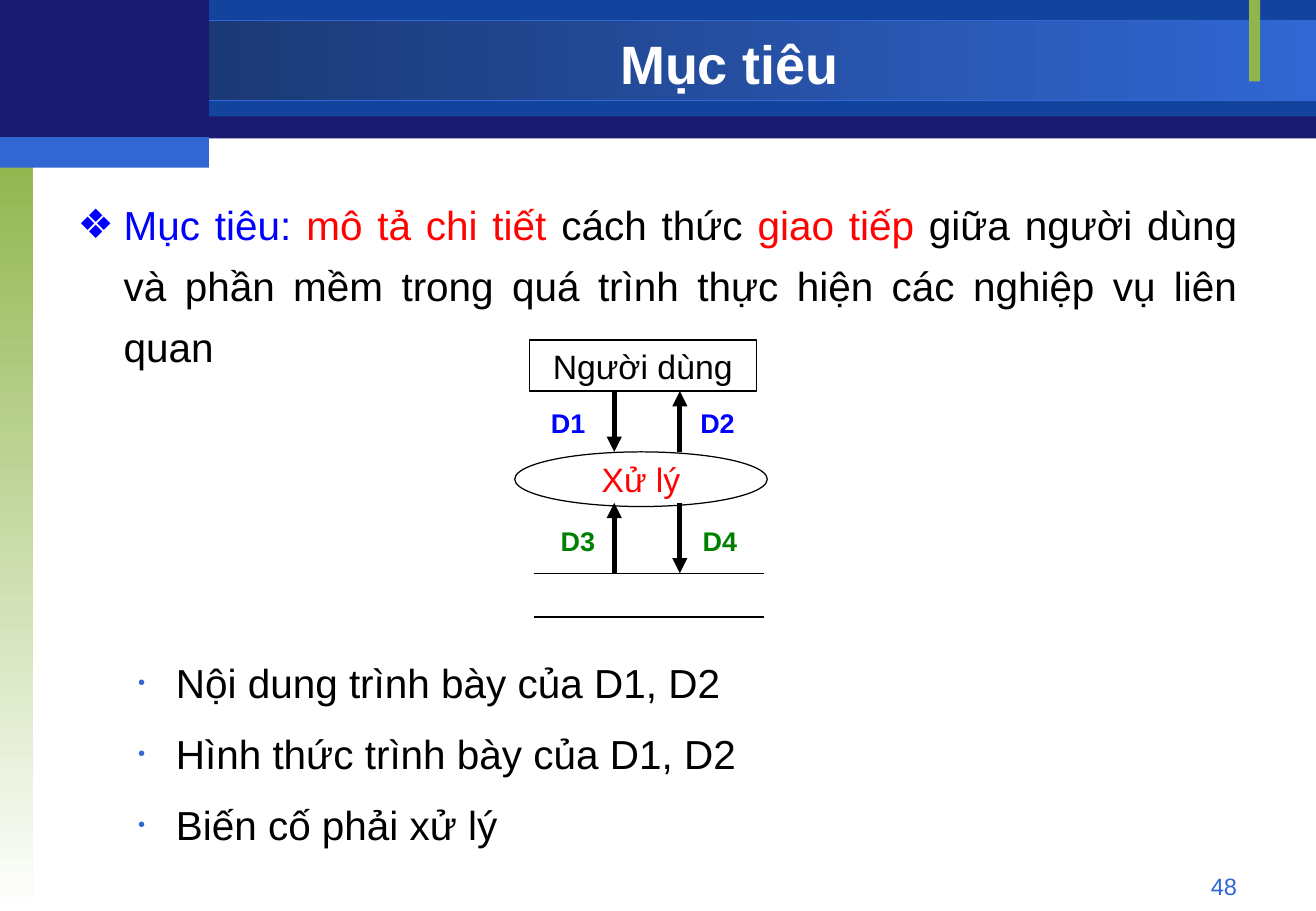
"""Build the slide on the goals of interface design, with its data-flow diagram."""
from dataclasses import dataclass
from typing import Any, Optional

from lxml import etree
from pptx import Presentation
from pptx import util as u
from pptx.dml.color import RGBColor
from pptx.enum import shapes, text
from pptx.oxml import ns

SCALE = 9144
FONT = "Arial"
COLORS = {
    "navy": "1A1A70", "band": "12449E", "deep": "173062", "sky": "3167D3",
    "olive": "90B54D", "white": "FFFFFF", "black": "000000",
    "blue": "0000FF", "red": "FF0303", "green": "008000",
}
RECT, OVAL = shapes.MSO_SHAPE.RECTANGLE, shapes.MSO_SHAPE.OVAL
LEFT, CENTER = text.PP_ALIGN.LEFT, text.PP_ALIGN.CENTER
RIGHT, JUSTIFY = text.PP_ALIGN.RIGHT, text.PP_ALIGN.JUSTIFY
TOP, MIDDLE = text.MSO_ANCHOR.TOP, text.MSO_ANCHOR.MIDDLE

Box = tuple[int, int, int, int]
Runs = list[tuple[str, str]]


@dataclass
class Bar:
    box: Box
    color: str
    fade_to: Optional[str] = None
    angle: int = 0
    outline: Optional[str] = None


@dataclass
class Node:
    box: Box
    kind: Any
    label: str
    color: str


@dataclass
class Label:
    box: Box
    label: str
    color: str


@dataclass
class Link:
    start: tuple[int, int]
    end: tuple[int, int]
    width: float = 0.75
    arrow: bool = False


@dataclass
class Bullet:
    char: str
    color: str
    size: int
    indent: int
    hang: int


BARS = [
    Bar((0, 1, 1084, 113), "navy"),
    Bar((172, 0, 912, 96), "band"),
    Bar((0, 17, 1084, 66), "deep", "sky", 0, "sky"),
    Bar((0, 125, 27, 625), "olive", "white", 270),
    Bar((1029, 0, 9, 67), "olive"),
    Bar((0, 0, 172, 117), "navy"),
    Bar((0, 113, 172, 25), "sky"),
]
NODES = [
    Node((436, 280, 187, 42), RECT, "Người dùng", "black"),
    Node((424, 372, 208, 45), OVAL, "Xử lý", "red"),
]
LABELS = [
    Label((444, 330, 48, 37), "D1", "blue"),
    Label((567, 330, 48, 37), "D2", "blue"),
    Label((452, 427, 48, 37), "D3", "green"),
    Label((569, 427, 48, 37), "D4", "green"),
]
LINKS = [
    Link((440, 472), (629, 472)),
    Link((440, 508), (629, 508)),
    Link((506, 322), (506, 372), 3, True),
    Link((560, 372), (560, 322), 3, True),
    Link((506, 472), (506, 414), 3, True),
    Link((560, 414), (560, 472), 3, True),
]
GOAL: Runs = [
    ("Mục tiêu: ", "blue"),
    ("mô tả chi tiết", "red"),
    (" cách thức ", "black"),
    ("giao tiếp", "red"),
    (" giữa người dùng và phần mềm trong quá trình thực hiện "
     "các nghiệp vụ liên quan", "black"),
]
TOPICS = [
    "Nội dung trình bày của D1, D2",
    "Hình thức trình bày của D1, D2",
    "Biến cố phải xử lý",
]
GOAL_BULLET = Bullet("❖", "blue", 100, 38, 38)
TOPIC_BULLET = Bullet("•", "sky", 50, 81, 31)


def px(n: int) -> u.Emu:
    return u.Emu(n * SCALE)


def rgb(name: str) -> RGBColor:
    return RGBColor.from_string(COLORS[name])


def apply(target: Any, **values: Any) -> None:
    for name, value in values.items():
        setattr(target, name, value)


def add_bullet(p: Any, bullet: Bullet) -> None:
    pPr = p._p.get_or_add_pPr()
    pPr.set("marL", str(px(bullet.indent)))
    pPr.set("indent", str(-px(bullet.hang)))
    clr = etree.SubElement(pPr, ns.qn("a:buClr"))
    etree.SubElement(clr, ns.qn("a:srgbClr"), val=COLORS[bullet.color])
    etree.SubElement(pPr, ns.qn("a:buSzPct"), val=str(bullet.size * 1000))
    etree.SubElement(pPr, ns.qn("a:buFont"), typeface=FONT)
    etree.SubElement(pPr, ns.qn("a:buChar"), char=bullet.char)


def write(sp: Any, paragraphs: list[Runs], size: int, align: Any = LEFT,
          anchor: Any = TOP, bold: bool = False, wrap: bool = True,
          bullet: Optional[Bullet] = None) -> None:
    tf = sp.text_frame
    apply(tf, word_wrap=wrap, vertical_anchor=anchor,
          auto_size=text.MSO_AUTO_SIZE.NONE)
    for i, runs in enumerate(paragraphs):
        p = tf.add_paragraph() if i else tf.paragraphs[0]
        p.alignment = align
        if bullet:
            add_bullet(p, bullet)
            p.line_spacing = 1.25
        if i:
            p.space_before = u.Pt(6)
        for words, color in runs:
            r = p.add_run()
            r.text = words
            apply(r.font, name=FONT, size=u.Pt(size), bold=bold)
            r.font.color.rgb = rgb(color)


def add_text(parent: Any, box: Box, paragraphs: list[Runs], size: int,
             **style: Any) -> None:
    write(parent.add_textbox(*map(px, box)), paragraphs, size, **style)


def set_line(line: Any, color: str, width: float) -> None:
    line.color.rgb = rgb(color)
    line.width = u.Pt(width)


def add_bar(parent: Any, bar: Bar) -> None:
    sp = parent.add_shape(RECT, *map(px, bar.box))
    sp.shadow.inherit = False
    if bar.fade_to:
        sp.fill.gradient()
        sp.fill.gradient_angle = bar.angle
        for stop, color in zip(sp.fill.gradient_stops, (bar.color, bar.fade_to)):
            stop.color.rgb = rgb(color)
    else:
        sp.fill.solid()
        sp.fill.fore_color.rgb = rgb(bar.color)
    if bar.outline:
        set_line(sp.line, bar.outline, 0.75)
    else:
        sp.line.fill.background()


def add_node(parent: Any, node: Node) -> None:
    sp = parent.add_shape(node.kind, *map(px, node.box))
    sp.shadow.inherit = False
    sp.fill.background()
    set_line(sp.line, "black", 0.75)
    write(sp, [[(node.label, node.color)]], 20, CENTER, MIDDLE, wrap=False)


def add_link(parent: Any, link: Link) -> None:
    sp = parent.add_connector(shapes.MSO_CONNECTOR.STRAIGHT,
                              *map(px, link.start + link.end))
    set_line(sp.line, "black", link.width)
    if link.arrow:
        ln = sp.line._get_or_add_ln()
        etree.SubElement(ln, ns.qn("a:tailEnd"), type="triangle")
    etree.SubElement(sp._element.spPr, ns.qn("a:effectLst"))


def main() -> None:
    prs = Presentation()
    apply(prs, slide_width=px(1084), slide_height=px(750))
    s = prs.slides.add_slide(prs.slide_layouts[5])
    for bar in BARS:
        add_bar(s.shapes, bar)
    title = s.shapes.title
    s.shapes._spTree.append(title._element)
    apply(title, left=px(172), top=px(23), width=px(858), height=px(58))
    write(title, [[("Mục tiêu", "white")]], 32, CENTER, MIDDLE, bold=True)
    add_text(s.shapes, (776, 713, 253, 27), [[("48", "sky")]], 14, align=RIGHT)
    add_text(s.shapes, (54, 150, 975, 160), [GOAL], 24,
             align=JUSTIFY, bullet=GOAL_BULLET)
    add_text(s.shapes, (54, 527, 975, 173), [[(t, "black")] for t in TOPICS], 24,
             align=JUSTIFY, bullet=TOPIC_BULLET)
    diagram = s.shapes.add_group_shape().shapes
    for link in LINKS:
        add_link(diagram, link)
    for label in LABELS:
        add_text(diagram, label.box, [[(label.label, label.color)]], 16,
                 bold=True, wrap=False)
    for node in NODES:
        add_node(diagram, node)
    prs.save("out.pptx")


if __name__ == "__main__":
    main()
